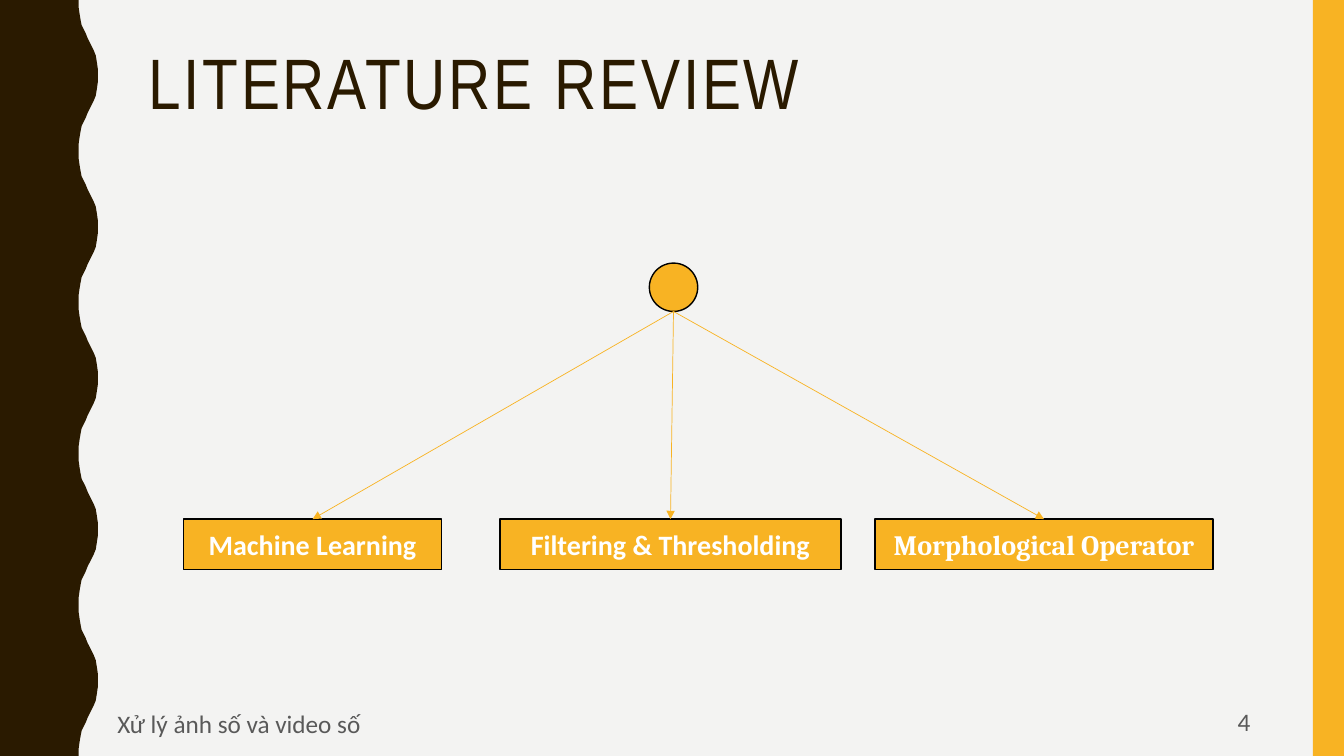
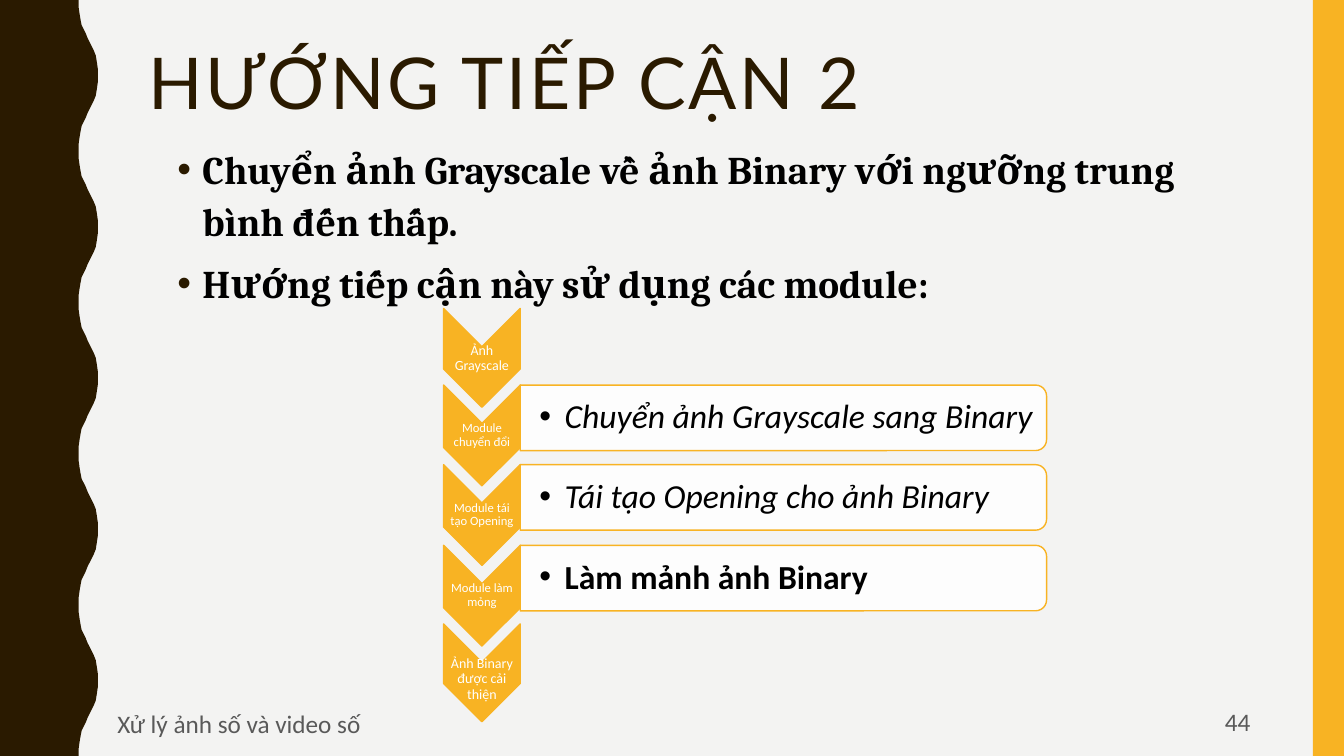
import pptx
import pptx.dml.color
import pptx.enum.shapes
import pptx.enum.text
import pptx.oxml
import pptx.oxml.ns
import pptx.util

Inches = pptx.util.Inches
Pt = pptx.util.Pt
RGBColor = pptx.dml.color.RGBColor
SHAPE = pptx.enum.shapes.MSO_SHAPE
ALIGN = pptx.enum.text.PP_ALIGN
ANCHOR = pptx.enum.text.MSO_ANCHOR
qn = pptx.oxml.ns.qn

PAPER = RGBColor(0xF3, 0xF3, 0xF2)
BROWN = RGBColor(0x2A, 0x1A, 0x00)
AMBER = RGBColor(0xF8, 0xB3, 0x23)
GREY = RGBColor(0x59, 0x59, 0x59)
BLACK = RGBColor(0, 0, 0)
WHITE = RGBColor(0xFF, 0xFF, 0xFF)

FOOTER = "Xử lý ảnh số và video số"
WAVE_PERIOD = 1.5
WAVE_COUNT = 5
WAVE_RISE = [
    (0.78, 0), (0.78, 0.07), (0.79, 0.14), (0.8, 0.2), (0.81, 0.25),
    (0.83, 0.29), (0.85, 0.33), (0.87, 0.38), (0.89, 0.42), (0.91, 0.46),
    (0.93, 0.5), (0.95, 0.55), (0.96, 0.61), (0.97, 0.68), (0.97, 0.75),
]

METHODS = [
    ("Machine Learning", 1.82, 2.56, "Calibri"),
    ("Filtering & Thresholding", 4.96, 3.38, "Calibri"),
    ("Morphological Operator", 8.68, 3.35, "Cambria"),
]
APPROACH = [
    "Chuyển ảnh Grayscale về ảnh Binary với ngưỡng trung bình đến thấp.",
    "Hướng tiếp cận này sử dụng các module:",
]
ENDPOINT_SIZE, MODULE_SIZE = 10, 9
STEPS = [
    ("Ảnh Grayscale", ENDPOINT_SIZE, 3.06, 0.98, 3.41, None),
    ("Module chuyển đổi", MODULE_SIZE, 3.82, 1, 4.17,
     ("Chuyển ảnh Grayscale sang Binary", {"italic": True})),
    ("Module tái tạo Opening", MODULE_SIZE, 4.61, 1, 4.96,
     ("Tái tạo Opening cho ảnh Binary", {"italic": True})),
    ("Module làm mỏng", MODULE_SIZE, 5.41, 1, 5.76,
     ("Làm mảnh ảnh Binary", {"bold": True})),
    ("Ảnh Binary được cải thiện", ENDPOINT_SIZE, 6.19, 0.97, 6.59, None),
]


def add_xml(parent, tag, **attributes):
    """Append a drawing element with the given attributes."""
    element = pptx.oxml.parse_xml(
        f'<a:{tag} {pptx.oxml.ns.nsdecls("a")}/>')
    for key, value in attributes.items():
        element.set(key, str(value))
    parent.append(element)
    return element


class Deck:
    """Hold the shared style and the slide being built."""

    def __init__(self):
        self.prs = pptx.Presentation()
        self.prs.slide_width = Inches(13.33)
        self.prs.slide_height = Inches(7.5)
        backdrop = self.prs.slide_master.background.fill
        backdrop.solid()
        backdrop.fore_color.rgb = PAPER
        self.slide = None

    def new_slide(self, title, title_font, number):
        """Start a slide with its bands, title and footer."""
        self.slide = self.prs.slides.add_slide(self.prs.slide_layouts[5])
        self.wave()
        self.shape(SHAPE.RECTANGLE, 13.02, 0, 0.31, 7.5, line=None)
        self.title(title, title_font)
        for text, left, top, width, align in (
                (FOOTER, 0.12, 6.99, 4.5, ALIGN.CENTER),
                (number, 9.42, 6.97, 3.08, ALIGN.RIGHT)):
            self.text([text], left, top, width, 0.38, size=18, color=GREY,
                      align=align, anchor=ANCHOR.MIDDLE)

    def wave(self):
        """Draw the scalloped band on the left edge."""
        fall = [(x, WAVE_PERIOD - y) for x, y in reversed(WAVE_RISE[:-1])]
        edge = [(x, y + period * WAVE_PERIOD) for period in range(WAVE_COUNT)
                for x, y in WAVE_RISE + fall]
        outline = edge + [(0, WAVE_PERIOD * WAVE_COUNT)]
        builder = self.slide.shapes.build_freeform(0, 0)
        builder.add_line_segments(
            [(Inches(x), Inches(y)) for x, y in outline], close=True)
        self.paint(builder.convert_to_shape(), BROWN, None)

    def title(self, text, font):
        """Place and format the title placeholder."""
        title = self.slide.shapes.title
        title.left, title.top = Inches(1.37), Inches(0.42)
        title.width, title.height = Inches(11.13), Inches(1.63)
        title.text_frame.auto_size = pptx.enum.text.MSO_AUTO_SIZE.NONE
        self.fill_text(title.text_frame, [text], size=51, font=font,
                       color=BROWN, spacing=0.9)
        for run in title.text_frame.paragraphs[0].runs:
            run._r.get_or_add_rPr().set("spc", "200")

    def paint(self, shape, fill, line, width=1):
        """Set fill and outline and drop the shadow."""
        shape.shadow.inherit = False
        shape.fill.solid()
        shape.fill.fore_color.rgb = fill
        if line is None:
            shape.line.fill.background()
        else:
            shape.line.color.rgb = line
            shape.line.width = Pt(width)

    def shape(self, kind, left, top, width, height, fill=AMBER, line=BLACK):
        """Add a painted preset shape."""
        shape = self.slide.shapes.add_shape(
            kind, Inches(left), Inches(top), Inches(width), Inches(height))
        self.paint(shape, fill, line)
        return shape

    def turned(self, kind, left, top, width, height, fill=AMBER):
        """Add a shape turned a quarter clockwise that covers the given area."""
        shift = (width - height) / 2
        shape = self.shape(kind, left + shift, top - shift, height, width,
                           fill, AMBER)
        shape.rotation = 90
        return shape

    def arrow(self, start, target):
        """Draw an arrow from a point to the top of a box."""
        arrow = self.slide.shapes.add_connector(
            pptx.enum.shapes.MSO_CONNECTOR.STRAIGHT, *start, *start)
        arrow.end_connect(target, 0)
        arrow.line.color.rgb = AMBER
        arrow.line.width = Pt(0.5)
        add_xml(arrow.line._get_or_add_ln(), "tailEnd", type="triangle")
        add_xml(arrow._element.spPr, "effectLst")

    def text(self, lines, left, top, width, height, **style):
        """Add a text box."""
        box = self.slide.shapes.add_textbox(
            Inches(left), Inches(top), Inches(width), Inches(height))
        self.fill_text(box.text_frame, lines, **style)

    def fill_text(self, frame, lines, size, font="Calibri", color=BLACK,
                  bold=False, italic=False, align=ALIGN.LEFT,
                  anchor=ANCHOR.TOP, spacing=1.0, gap=0, insets=None,
                  bullet=None):
        """Fill a text frame with evenly styled paragraphs."""
        frame.text = "\n".join(lines)
        frame.word_wrap = True
        frame.vertical_anchor = anchor
        if insets:
            (frame.margin_left, frame.margin_top, frame.margin_right,
             frame.margin_bottom) = [Inches(inset) for inset in insets]
        for index, paragraph in enumerate(frame.paragraphs):
            paragraph.alignment = align
            paragraph.line_spacing = spacing
            if index and gap:
                paragraph.space_before = Pt(gap)
            if bullet is not None:
                self.bullet(paragraph, bullet)
            for run in paragraph.runs:
                run.font.name = font
                run.font.size = Pt(size)
                run.font.bold = bold
                run.font.italic = italic
                run.font.color.rgb = color

    def bullet(self, paragraph, color):
        """Give a paragraph a hanging round bullet."""
        properties = paragraph._p.get_or_add_pPr()
        properties.set("marL", str(Inches(0.25)))
        properties.set("indent", str(-Inches(0.25)))
        add_xml(add_xml(properties, "buClr"), "srgbClr", val=color)
        add_xml(properties, "buFont", typeface="Arial")
        add_xml(properties, "buChar", char="•")

    def method_box(self, label, left, width, font):
        """Add a labelled box of the method tree."""
        box = self.shape(SHAPE.RECTANGLE, left, 5.15, width, 0.5)
        self.fill_text(box.text_frame, [label], size=20, font=font,
                       color=WHITE, bold=True, align=ALIGN.CENTER,
                       anchor=ANCHOR.MIDDLE)
        return box

    def step(self, label, size, top, height, label_top, detail):
        """Add a chevron step with its optional detail panel."""
        left, width = 4.4, 0.76
        self.turned(SHAPE.CHEVRON, left, top, width, height)
        self.text([label], left, label_top, width, 0.3, size=size,
                  color=WHITE, align=ALIGN.CENTER, anchor=ANCHOR.MIDDLE,
                  spacing=0.9, insets=[0.01] * 4)
        if detail:
            text, emphasis = detail
            panel = self.turned(SHAPE.ROUND_2_SAME_RECTANGLE, left + width,
                                top, 5.22, 0.65, WHITE)
            white = panel._element.spPr.find(qn("a:solidFill"))[0]
            add_xml(white, "alpha", val=90000)
            self.text([text], left + width, top + 0.03, 5.19, 0.59, size=24,
                      anchor=ANCHOR.MIDDLE, spacing=0.9, bullet=BLACK,
                      insets=[0.19, 0.02, 0.02, 0.02], **emphasis)


def main():
    """Build and save the two slides."""
    deck = Deck()

    deck.new_slide("LITERATURE REVIEW", "Arial Narrow", "4")
    boxes = [deck.method_box(*method) for method in METHODS]
    root = deck.shape(SHAPE.OVAL, 6.44, 2.61, 0.48, 0.48)
    root_bottom = (root.left + root.width // 2, root.top + root.height)
    for box in boxes:
        deck.arrow(root_bottom, box)

    deck.new_slide("HƯỚNG TIẾP CẬN 2", "Lato", "44")
    deck.text(APPROACH, 1.66, 1.35, 10.55, 1.25, size=28, font="Cambria",
              bold=True, spacing=1.1, gap=7, bullet=BROWN)
    for step in STEPS:
        deck.step(*step)

    deck.prs.save("out.pptx")


if __name__ == "__main__":
    main()
